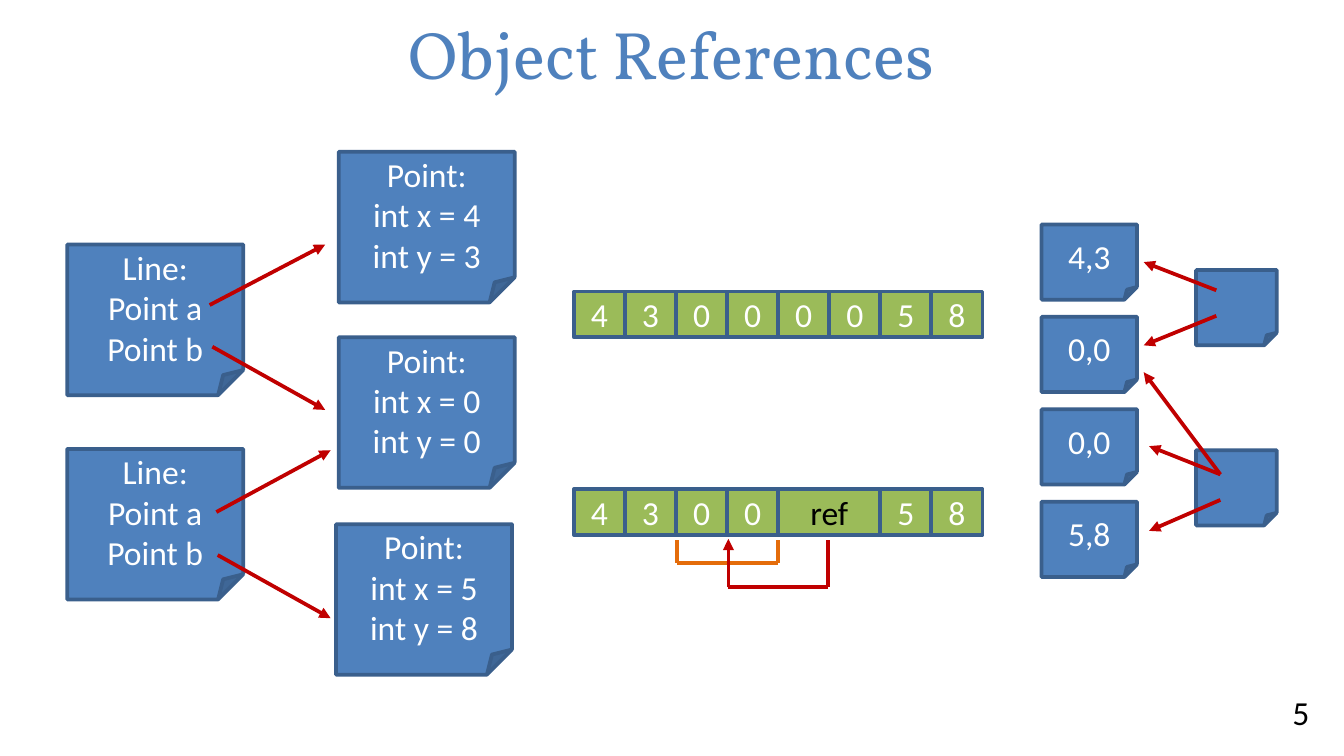
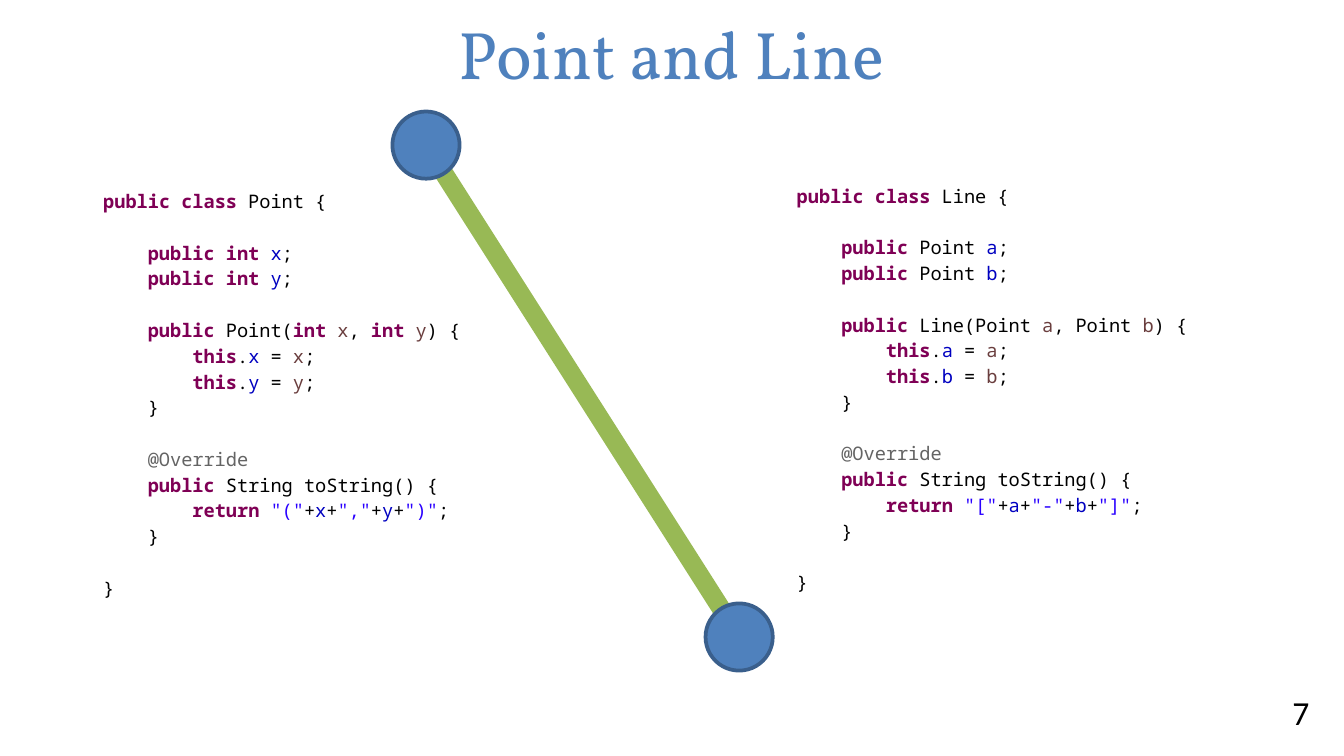
from lxml import etree
from pptx import Presentation
from pptx.dml.color import RGBColor
from pptx.enum.shapes import MSO_CONNECTOR, MSO_SHAPE
from pptx.enum.text import MSO_ANCHOR, MSO_AUTO_SIZE, PP_ALIGN
from pptx.oxml.ns import qn
from pptx.util import Inches, Pt

# The slide is a grid of 100 columns by 56.25 rows
COLS, ROWS = 100, 56.25
UNIT = Inches(0.1)

BLUE = RGBColor(0x4F, 0x81, 0xBD)
EDGE = RGBColor(0x3A, 0x5F, 0x8C)
GREEN = RGBColor(0x9B, 0xBB, 0x59)
SEGMENT = RGBColor(0x98, 0xB9, 0x55)
RED = RGBColor(0xC0, 0x00, 0x00)
ORANGE = RGBColor(0xE4, 0x6C, 0x0A)
WHITE = RGBColor(0xFF, 0xFF, 0xFF)
BLACK = RGBColor(0x00, 0x00, 0x00)

# Code styles by markup letter: keyword, field, parameter, string, annotation
CODE_COLORS = {
    "k": RGBColor(0x7F, 0x00, 0x55),
    "f": RGBColor(0x00, 0x00, 0xC0),
    "p": RGBColor(0x6A, 0x3E, 0x3E),
    "s": RGBColor(0x2A, 0x00, 0xFF),
    "a": RGBColor(0x64, 0x64, 0x64),
}
BODY_FONT, TITLE_FONT, CODE_FONT = "Calibri", "Vollkorn", "Noto Sans Mono"
CODE_LINE = Pt(13.8)

RECT, CARD, OVAL = MSO_SHAPE.RECTANGLE, MSO_SHAPE.FOLDED_CORNER, MSO_SHAPE.OVAL
STRAIGHT = MSO_CONNECTOR.STRAIGHT
CENTER, RIGHT = PP_ALIGN.CENTER, PP_ALIGN.RIGHT
MIDDLE = MSO_ANCHOR.MIDDLE
FIT_SHAPE = MSO_AUTO_SIZE.SHAPE_TO_FIT_TEXT


def grid(*values):
    return [round(v * UNIT) for v in values]


def write(tf, lines, size=18, color=WHITE, font=BODY_FONT, align=CENTER):
    tf.word_wrap = True
    tf.vertical_anchor = MIDDLE
    for i, line in enumerate(lines):
        p = tf.paragraphs[0] if i == 0 else tf.add_paragraph()
        p.text = line
        p.alignment = align
        p.font.name, p.font.size = font, Pt(size)
        p.font.color.rgb = color


def add_box(s, kind, x, y, w, h, lines=(), fill=BLUE, color=WHITE):
    sp = s.shapes.add_shape(kind, *grid(x, y, w, h))
    sp.shadow.inherit = False
    sp.fill.solid()
    sp.fill.fore_color.rgb = fill
    sp.line.color.rgb = EDGE
    sp.line.width = Pt(2)
    write(sp.text_frame, lines, color=color)


def add_line(s, start, end, color=RED, width=2, head=None, tail=None):
    c = s.shapes.add_connector(STRAIGHT, *grid(*start, *end))
    c.line.color.rgb = color
    c.line.width = Pt(width)
    sp_pr = c._element.spPr
    ln = sp_pr.find(qn("a:ln"))
    for tag, kind in (("a:headEnd", head), ("a:tailEnd", tail)):
        if kind:
            etree.SubElement(ln, qn(tag)).set("type", kind)
    etree.SubElement(sp_pr, qn("a:effectLst"))


def add_arrow(s, start, end):
    add_line(s, start, end, tail="triangle")


def add_path(s, points, color):
    for start, end in zip(points, points[1:]):
        add_line(s, start, end, color)


def add_memory(s, y, cells):
    """Draw a row of memory cells, each given as (text, span, text colour)."""
    x, step = 42.7, 3.8
    for text, span, color in cells:
        add_box(s, RECT, x, y, span * step, 3.4, [text], GREEN, color)
        x += span * step


def class_source(name, kind, u, v, left, mid, right):
    """Java source in which `k...` and the like mark coloured spans."""
    return f"""`kpublic class` {name} {{

    `kpublic` {kind} `f{u}`;
    `kpublic` {kind} `f{v}`;

    `kpublic` {name}({kind} `p{u}`, {kind} `p{v}`) {{
        `kthis`.`f{u}` = `p{u}`;
        `kthis`.`f{v}` = `p{v}`;
    }}

    `a@Override`
    `kpublic` String toString() {{
        `kreturn` `s"{left}"`+`f{u}`+`s"{mid}"`+`f{v}`+`s"{right}"`;
    }}

}}"""


def add_code(s, x, y, source):
    tf = s.shapes.add_textbox(*grid(x, y, 33.3, 32)).text_frame
    tf.word_wrap = True
    tf.auto_size = FIT_SHAPE
    p, gap = tf.paragraphs[0], False
    for i, line in enumerate(source.split("\n")):
        if not line:
            gap = True
            continue
        if i:
            p = tf.add_paragraph()
        p.line_spacing = 1.15
        if gap:
            p.space_before = CODE_LINE
            gap = False
        p.font.name, p.font.size = CODE_FONT, Pt(10)
        for n, part in enumerate(line.split("`")):
            if not part:
                continue
            style = part[0] if n % 2 else ""
            r = p.add_run()
            r.text = part[len(style):]
            r.font.name, r.font.size = CODE_FONT, Pt(10)
            r.font.bold = style == "k"
            r.font.color.rgb = CODE_COLORS.get(style, BLACK)


def add_slide(prs, title, number):
    s = prs.slides.add_slide(prs.slide_layouts[6])
    box = s.shapes.add_textbox(*grid(0.8, 0.6, 98.3, 6.7))
    write(box.text_frame, [title], 36, BLUE, TITLE_FONT)
    box = s.shapes.add_textbox(*grid(91.7, 51.5, 6.7, 3))
    write(box.text_frame, [number], color=BLACK, align=RIGHT)
    return s


def references_slide(prs):
    s = add_slide(prs, "Object References", "5")

    # Line objects pointing at Point objects
    for y in (18.2, 33.4):
        add_box(s, CARD, 5, y, 13.1, 11.2, ["Line:", "Point a", "Point b"])
    for x, y, px, py in ((25.2, 11.3, 4, 3), (25.2, 25.1, 0, 0), (25, 39, 5, 8)):
        add_box(s, CARD, x, y, 13.1, 11.2,
                ["Point:", f"int x = {px}", f"int y = {py}"])
    for start, end in (((15.6, 22.7), (24.2, 18.2)), ((15.8, 25.8), (24.2, 30.5)),
                       ((16.1, 38.1), (24.6, 33.5)), ((16.2, 41.3), (24.6, 46))):
        add_arrow(s, start, end)

    # Memory rows: full values, then a back reference
    add_memory(s, 21.7, [(d, 1, WHITE) for d in "43000058"])
    add_memory(s, 36.4, [(d, 1, WHITE) for d in "4300"] + [("ref", 2, BLACK)]
               + [(d, 1, WHITE) for d in "58"])
    add_path(s, [(50.4, 40.2), (50.4, 41.9), (57.9, 41.9), (57.9, 40.2)], ORANGE)
    add_path(s, [(61.6, 40.2), (61.6, 43.7), (54.2, 43.7)], RED)
    add_arrow(s, (54.2, 43.7), (54.2, 40.1))

    # Compact object graph
    for i, text in enumerate(("4,3", "0,0", "0,0", "5,8")):
        add_box(s, CARD, 77.5, 16.7 + 6.88 * i, 7.1, 5.6, [text])
    for y in (20.1, 33.5):
        add_box(s, CARD, 89, y, 6, 5.6)
    for start, end in (((90.5, 21.6), (85.1, 19.5)), ((90.5, 23.5), (85.1, 25.7)),
                       ((90.8, 35.3), (85.5, 33.2)), ((90.8, 37.2), (85.5, 39.5)),
                       ((90.8, 35.3), (85.1, 27.7))):
        add_arrow(s, start, end)


def classes_slide(prs):
    s = add_slide(prs, "Point and Line", "7")
    add_code(s, 6.7, 13.4, class_source("Point", "`kint`", "x", "y", "(", ",", ")"))
    add_code(s, 58.3, 13, class_source("Line", "Point", "a", "b", "[", "-", "]"))

    # A line between two points
    ends = (31.7, 10.8), (55, 47.4)
    add_line(s, *ends, SEGMENT, 10, "oval", "oval")
    for x, y in ends:
        add_box(s, OVAL, x - 2.5, y - 2.5, 5, 5)


def main():
    prs = Presentation()
    prs.slide_width, prs.slide_height = grid(COLS, ROWS)
    references_slide(prs)
    classes_slide(prs)
    prs.save("out.pptx")


if __name__ == "__main__":
    main()
